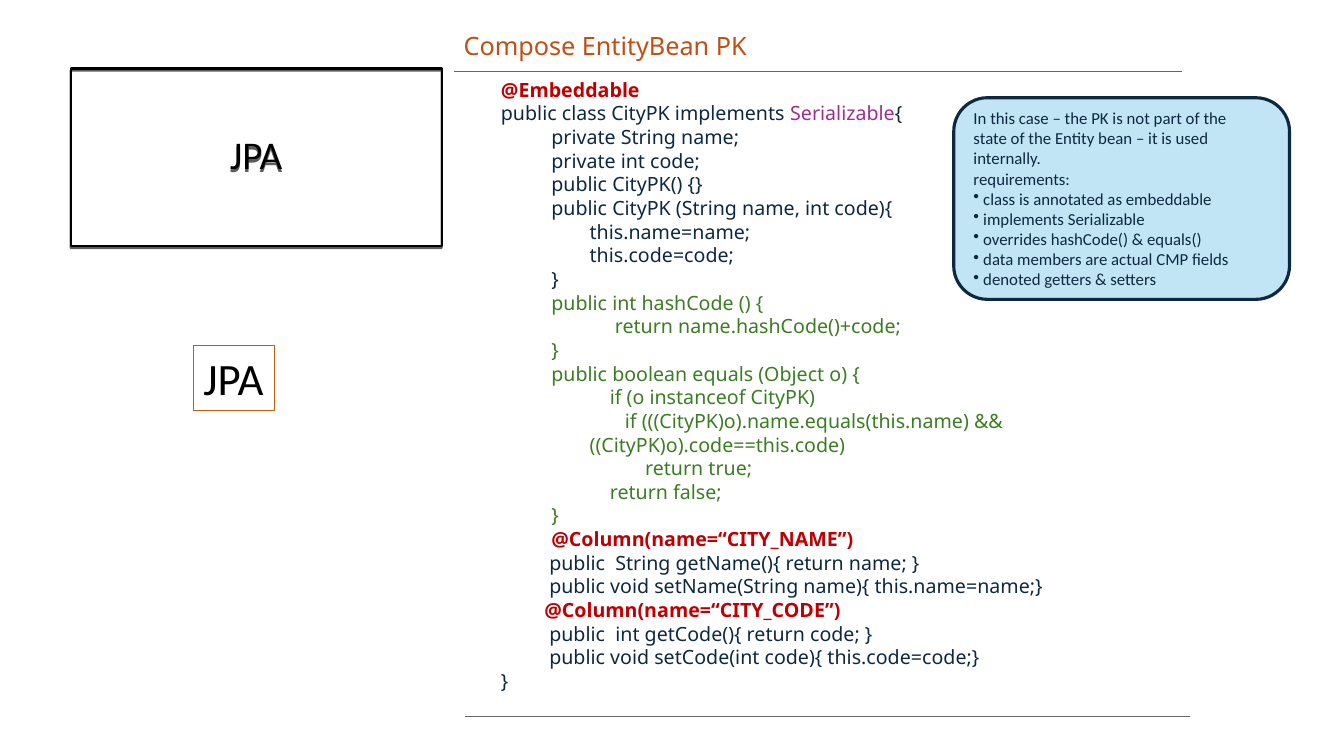
from lxml import etree
from pptx import Presentation
from pptx.dml.color import RGBColor
from pptx.enum.shapes import MSO_CONNECTOR, MSO_SHAPE
from pptx.enum.text import MSO_ANCHOR, MSO_AUTO_SIZE, PP_ALIGN
from pptx.oxml import parse_xml
from pptx.oxml.ns import nsdecls, qn
from pptx.util import Inches, Pt

NAVY, RED, GREEN, PURPLE = "0E2841", "C00000", "3B7D23", "A02B93"
BLACK, ORANGE, GRAY = "000000", "C55A11", "666666"


def color(value):
    return RGBColor.from_string(value)


def set_font(font, name, size, value, bold=False):
    font.name = name
    font.size = Pt(size)
    font.bold = bold
    font.color.rgb = color(value)


presentation = Presentation()
presentation.slide_width = Inches(13.33)
presentation.slide_height = Inches(7.5)
slide = presentation.slides.add_slide(presentation.slide_layouts[6])
shapes = slide.shapes

boxes = [
    (MSO_SHAPE.RECTANGLE, 0.7, 0.68, 3.68, 1.76, BLACK, 1.5),
    (MSO_SHAPE.RECTANGLE, 1.92, 3.43, 0.8, 0.64, ORANGE, 0.75),
    (MSO_SHAPE.FLOWCHART_ALTERNATE_PROCESS, 9.46, 0.97, 3.33, 2, NAVY, 2.25),
]
drawn = []
for kind, left, top, width, height, line, weight in boxes:
    shape = shapes.add_shape(kind, Inches(left), Inches(top), Inches(width), Inches(height))
    shape.shadow.inherit = False
    shape.fill.background()
    shape.line.color.rgb = color(line)
    shape.line.width = Pt(weight)
    drawn.append(shape)
title, label, callout = drawn

title.text_frame.word_wrap = True
title.text_frame.vertical_anchor = MSO_ANCHOR.MIDDLE
paragraph = title.text_frame.paragraphs[0]
paragraph.text = "JPA"
paragraph.alignment = PP_ALIGN.CENTER
paragraph.line_spacing = 0.9
set_font(paragraph.font, "Calibri", 28, BLACK)
effects = title._element.spPr.find(qn("a:effectLst"))
effects.append(parse_xml(
    f'<a:outerShdw {nsdecls("a")} blurRad="0" dist="19050" dir="5400000" rotWithShape="0">'
    '<a:srgbClr val="000000"><a:alpha val="63000"/></a:srgbClr></a:outerShdw>'))

label.text_frame.word_wrap = False
label.text_frame.auto_size = MSO_AUTO_SIZE.SHAPE_TO_FIT_TEXT
label.text_frame.vertical_anchor = MSO_ANCHOR.TOP
paragraph = label.text_frame.paragraphs[0]
paragraph.text = "JPA"
paragraph.alignment = PP_ALIGN.LEFT
set_font(paragraph.font, "Calibri", 32, BLACK)

for left, right, y in [(4.5, 11.72, 0.71), (4.61, 11.8, 7.11)]:
    rule = shapes.add_connector(
        MSO_CONNECTOR.STRAIGHT, Inches(left), Inches(y), Inches(right), Inches(y))
    rule.line.color.rgb = color(GRAY)
    rule.line.width = Pt(0.5)
    etree.SubElement(rule._element.spPr, qn("a:effectLst"))

heading = shapes.add_textbox(Inches(4.5), Inches(0.25), Inches(4.6), Inches(0.4))
heading.text_frame.word_wrap = True
paragraph = heading.text_frame.paragraphs[0]
paragraph.text = "Compose EntityBean PK"
set_font(paragraph.font, "Noto Sans", 18, "C04F15")

code_lines = [
    (0, 0, RED, "@Embeddable"),
    (0, 0, NAVY, "public class CityPK implements Serializable{"),
    (0.5, 0, NAVY, "private String name;"),
    (0.5, 0, NAVY, "private int code;"),
    (0.5, 0, NAVY, "public CityPK() {}"),
    (0.5, 0, NAVY, "public CityPK (String name, int code){"),
    (0.88, 0, NAVY, "this.name=name;"),
    (0.88, 0, NAVY, "this.code=code;"),
    (0.5, 0, NAVY, "}"),
    (0.5, 0, GREEN, "public int hashCode () {"),
    (1.13, 0, GREEN, "return name.hashCode()+code;"),
    (0.5, 0, GREEN, "}"),
    (0.5, 0, GREEN, "public boolean equals (Object o) {"),
    (1.08, 0, GREEN, "if (o instanceof CityPK)"),
    (0.88, 0.35, GREEN, "if (((CityPK)o).name.equals(this.name) && ((CityPK)o).code==this.code)"),
    (1.43, 0, GREEN, "return true;"),
    (1.08, 0, GREEN, "return false;"),
    (0.5, 0, GREEN, "}"),
    (0.5, 0, RED, "@Column(name=“CITY_NAME”)"),
    (0.48, 0, NAVY, "public  String getName(){ return name; }"),
    (0.48, 0, NAVY, "public void setName(String name){ this.name=name;}"),
    (0.43, 0, RED, "@Column(name=“CITY_CODE”)"),
    (0.48, 0, NAVY, "public  int getCode(){ return code; }"),
    (0.48, 0, NAVY, "public void setCode(int code){ this.code=code;}"),
    (0, 0, NAVY, "}"),
]
code = shapes.add_textbox(Inches(4.87), Inches(0.72), Inches(6.67), Inches(6.23))
code.text_frame.word_wrap = True
for index, (margin, indent, tint, text) in enumerate(code_lines):
    paragraph = code.text_frame.paragraphs[0] if index == 0 else code.text_frame.add_paragraph()
    properties = paragraph._p.get_or_add_pPr()
    properties.set("marL", str(Inches(margin)))
    properties.set("indent", str(Inches(indent)))
    paragraph.line_spacing = Pt(16.9)
    before, keyword, after = text.partition("Serializable")
    for part, value in [(before, tint), (keyword, PURPLE), (after, tint)]:
        if part:
            run = paragraph.add_run()
            run.text = part
            set_font(run.font, "Noto Sans", 14, value, tint == RED)

callout.fill.solid()
callout.fill.fore_color.rgb = color("C1E5F5")
callout.text_frame.word_wrap = False
callout.text_frame.vertical_anchor = MSO_ANCHOR.MIDDLE
introduction = [
    "In this case – the PK is not part of the",
    "state of the Entity bean – it is used",
    "internally.",
    "requirements:",
]
requirements = [
    " class is annotated as embeddable",
    " implements Serializable",
    " overrides hashCode() & equals()",
    " data members are actual CMP fields",
    " denoted getters & setters",
]
for index, text in enumerate(introduction + requirements):
    frame = callout.text_frame
    paragraph = frame.paragraphs[0] if index == 0 else frame.add_paragraph()
    paragraph.text = text
    paragraph.alignment = PP_ALIGN.LEFT
    set_font(paragraph.font, "Calibri", 12, NAVY)
    if text in requirements:
        bullet = parse_xml(f'<a:buChar {nsdecls("a")} char="•"/>')
        paragraph._p.pPr.insert_element_before(bullet, "a:tabLst", "a:defRPr", "a:extLst")

presentation.save("out.pptx")
